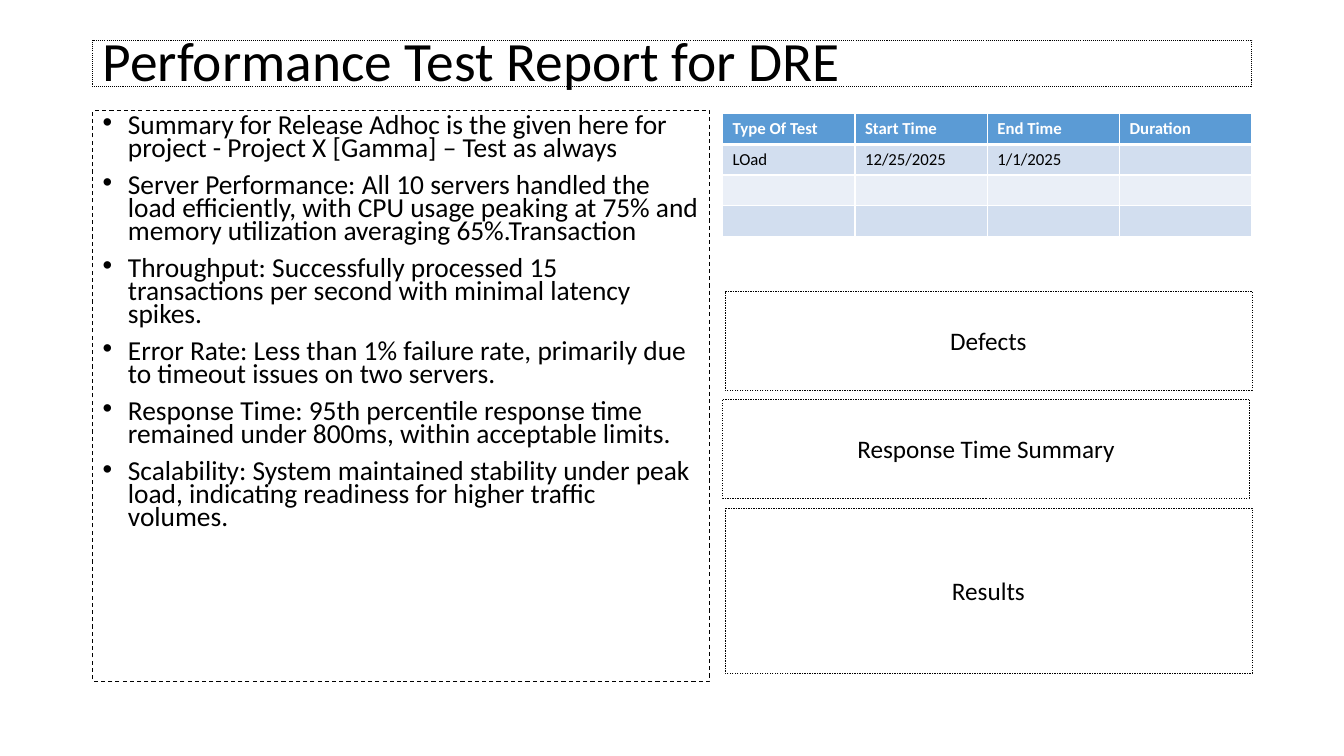
from dataclasses import dataclass

from lxml import etree
from pptx import Presentation
from pptx.dml.color import RGBColor
from pptx.enum.dml import MSO_LINE
from pptx.enum.shapes import MSO_SHAPE
from pptx.enum.text import MSO_ANCHOR, PP_ALIGN
from pptx.oxml.ns import qn
from pptx.util import Cm, Pt

RECTANGLE = MSO_SHAPE.RECTANGLE
DASH, DOT = MSO_LINE.DASH, MSO_LINE.ROUND_DOT
TOP, MIDDLE = MSO_ANCHOR.TOP, MSO_ANCHOR.MIDDLE
LEFT, CENTER = PP_ALIGN.LEFT, PP_ALIGN.CENTER


@dataclass(frozen=True)
class Theme:
    """Colours, font and type sizes of the report."""
    font: str = "Calibri"
    ink: str = "000000"
    paper: str = "FFFFFF"
    header: str = "5B9BD5"
    bands: tuple = ("D2DEEF", "EAEFF7")
    title_size: float = 39.6
    body_size: float = 19.6
    panel_size: float = 18
    table_size: float = 12


class ReportPage:
    """Draws report elements on one slide in one theme."""

    def __init__(self, page, theme):
        self.page = page
        self.theme = theme

    def add_span(self, para, text, size, color, bold=False):
        """Add one styled run to a paragraph."""
        span = para.add_run()
        span.text = text
        span.font.name = self.theme.font
        span.font.size = Pt(size)
        span.font.bold = bold
        span.font.color.rgb = RGBColor.from_string(color)

    def frame(self, place, width, dash, anchor):
        """Add an unfilled outlined box and return its text frame."""
        box = self.page.shapes.add_shape(RECTANGLE, *map(Cm, place))
        box.shadow.inherit = False
        box.fill.background()
        box.line.color.rgb = RGBColor.from_string(self.theme.ink)
        box.line.width = Pt(width)
        box.line.dash_style = dash
        box.text_frame.word_wrap = True
        box.text_frame.vertical_anchor = anchor
        return box.text_frame

    def title(self, text, place):
        """Add the dotted title box."""
        para = self.frame(place, 0.75, DOT, MIDDLE).paragraphs[0]
        para.alignment = LEFT
        para.line_spacing = 0.9
        self.add_span(para, text, self.theme.title_size, self.theme.ink)

    def bullets(self, items, place):
        """Add the dashed box with a bulleted list."""
        frame = self.frame(place, 0.75, DASH, TOP)
        for index, item in enumerate(items):
            para = frame.add_paragraph() if index else frame.paragraphs[0]
            para.alignment = LEFT
            para.line_spacing = 0.7
            para.space_before = Pt(10)
            properties = para._p.get_or_add_pPr()
            properties.set("marL", str(Pt(18)))
            properties.set("indent", str(-Pt(18)))
            etree.SubElement(properties, qn("a:buFont")).set("typeface", "Arial")
            etree.SubElement(properties, qn("a:buChar")).set("char", "•")
            self.add_span(para, item, self.theme.body_size, self.theme.ink)

    def panel(self, text, place):
        """Add a dashed panel with a centred label."""
        para = self.frame(place, 0.25, DASH, MIDDLE).paragraphs[0]
        para.alignment = CENTER
        self.add_span(para, text, self.theme.panel_size, self.theme.ink)

    def borders(self, cell, bottom):
        """Draw the four cell borders ahead of the cell fill."""
        properties = cell._tc.get_or_add_tcPr()
        widths = {"a:lnL": 1, "a:lnR": 1, "a:lnT": 1, "a:lnB": bottom}
        for position, (side, width) in enumerate(widths.items()):
            line = etree.Element(qn(side), w=str(Pt(width)))
            fill = etree.SubElement(line, qn("a:solidFill"))
            etree.SubElement(fill, qn("a:srgbClr")).set("val", self.theme.paper)
            properties.insert(position, line)

    def table(self, rows, place):
        """Add the banded table with a bold header row."""
        theme = self.theme
        grid = self.page.shapes.add_table(len(rows), len(rows[0]), *map(Cm, place)).table
        for row, values in enumerate(rows):
            is_header = row == 0
            fill = theme.header if is_header else theme.bands[(row - 1) % 2]
            color = theme.paper if is_header else theme.ink
            for column, value in enumerate(values):
                cell = grid.cell(row, column)
                cell.fill.solid()
                cell.fill.fore_color.rgb = RGBColor.from_string(fill)
                self.borders(cell, 3 if is_header else 1)
                para = cell.text_frame.paragraphs[0]
                if value:
                    self.add_span(para, value, theme.table_size, color, is_header)
                else:
                    ending = etree.SubElement(para._p, qn("a:endParaRPr"))
                    ending.set("sz", str(theme.table_size * 100))


SUMMARY = [
    "Summary for Release Adhoc is the given here for project - Project X [Gamma] – Test as always",
    "Server Performance: All 10 servers handled the load efficiently, with CPU usage peaking at 75% "
    "and memory utilization averaging 65%.Transaction",
    "Throughput: Successfully processed 15 transactions per second with minimal latency spikes.",
    "Error Rate: Less than 1% failure rate, primarily due to timeout issues on two servers.",
    "Response Time: 95th percentile response time remained under 800ms, within acceptable limits.",
    "Scalability: System maintained stability under peak load, indicating readiness for higher "
    "traffic volumes.",
]
TEST_RUNS = [
    ["Type Of Test", "Start Time", "End Time", "Duration"],
    ["LOad", "12/25/2025", "1/1/2025", ""],
    [""] * 4,
    [""] * 4,
]
PANELS = [
    ("Defects", (18.27, 7.34, 13.28, 2.49)),
    ("Response Time Summary", (18.21, 10.06, 13.28, 2.49)),
    ("Results", (18.27, 12.8, 13.28, 4.17)),
]


def main():
    """Build and save the report slide."""
    deck = Presentation()
    deck.slide_width, deck.slide_height = Cm(33.87), Cm(19.05)
    report = ReportPage(deck.slides.add_slide(deck.slide_layouts[6]), Theme())
    report.title("Performance Test Report for DRE", (2.34, 1.02, 29.21, 1.17))
    report.bullets(SUMMARY, (2.34, 2.79, 15.54, 14.38))
    for text, place in PANELS:
        report.panel(text, place)
    report.table(TEST_RUNS, (18.21, 2.87, 13.34, 3.08))
    deck.save("out.pptx")


if __name__ == "__main__":
    main()
